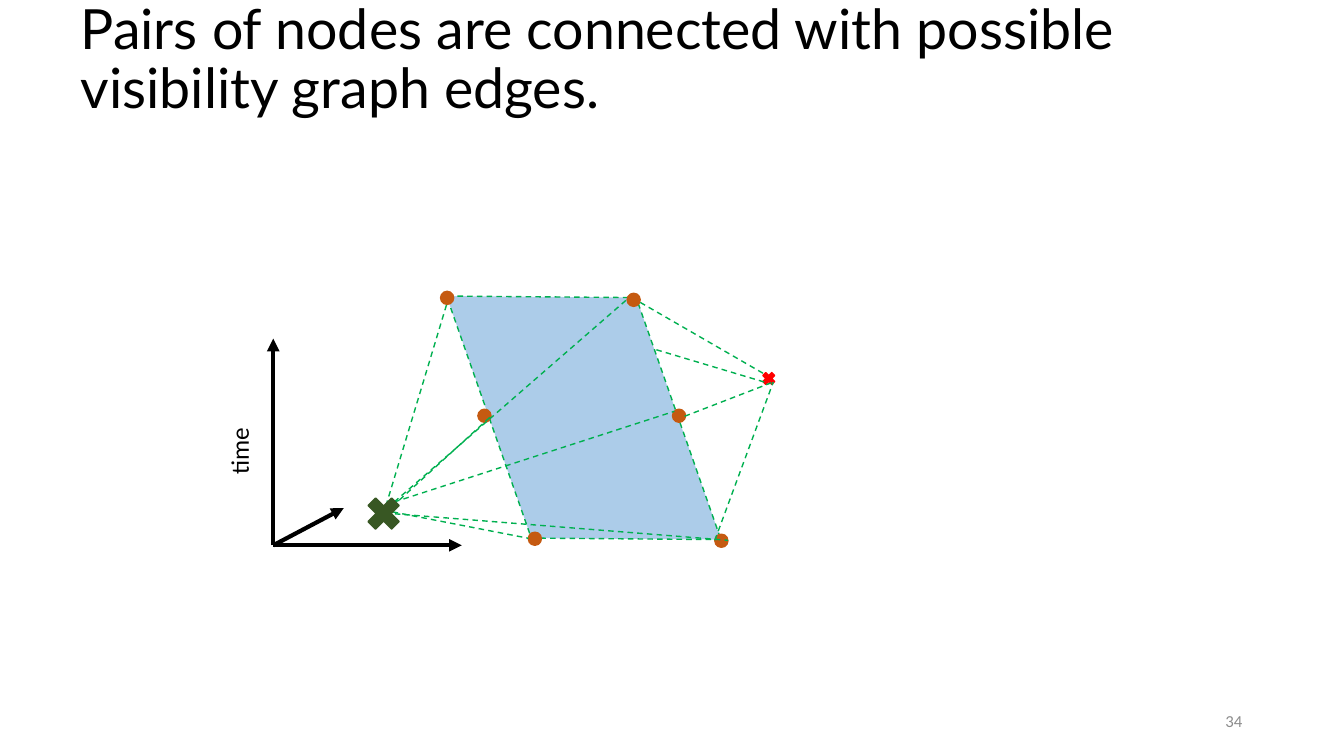
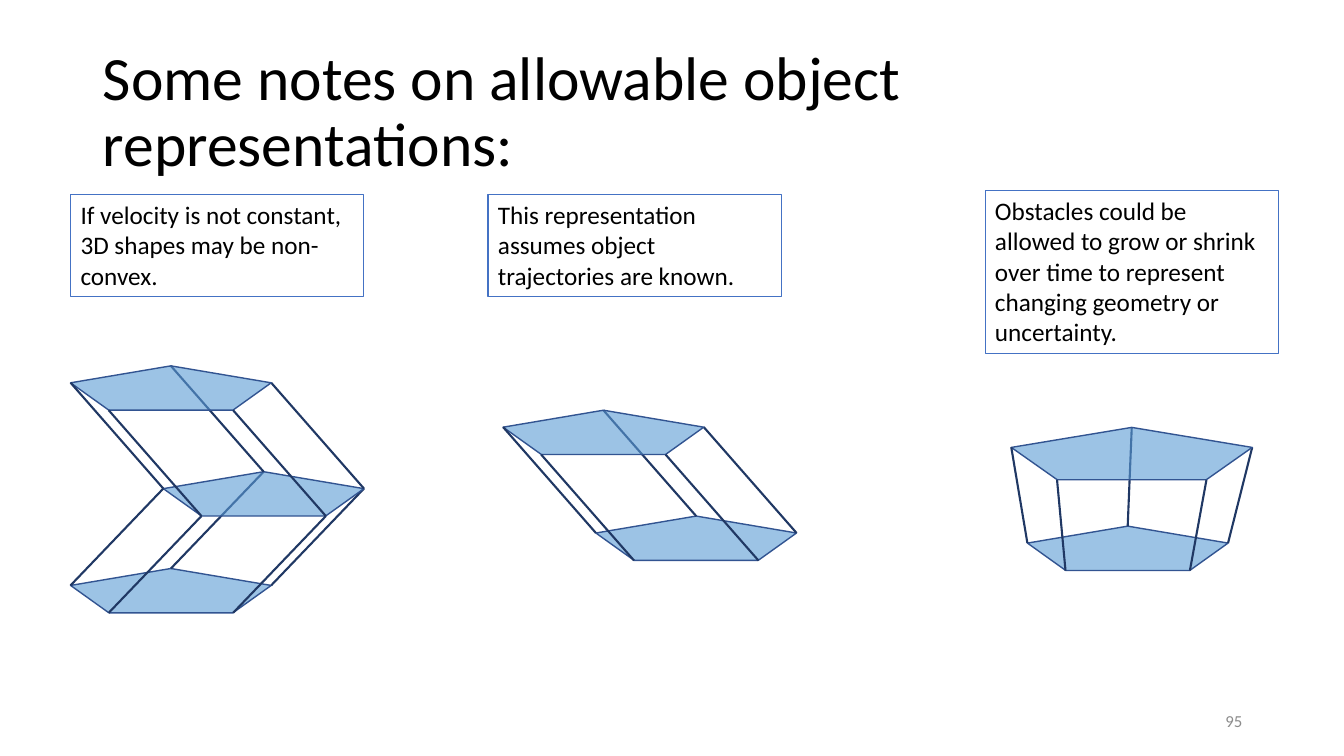
from dataclasses import dataclass
from typing import Any, NamedTuple

from pptx import Presentation
from pptx.dml.color import RGBColor
from pptx.enum.dml import MSO_LINE
from pptx.enum.shapes import MSO_CONNECTOR, MSO_SHAPE
from pptx.enum.text import MSO_ANCHOR, MSO_AUTO_SIZE, PP_ALIGN
from pptx.oxml.ns import qn
from pptx.oxml.xmlchemy import OxmlElement
from pptx.slide import Slide
from pptx.util import Inches, Pt

DASH = MSO_LINE.DASH
STRAIGHT = MSO_CONNECTOR.STRAIGHT
OVAL = MSO_SHAPE.OVAL
CROSS = MSO_SHAPE.MATH_MULTIPLY
SLANT = MSO_SHAPE.FLOWCHART_DATA
PENTAGON = MSO_SHAPE.REGULAR_PENTAGON
TOP, MIDDLE = MSO_ANCHOR.TOP, MSO_ANCHOR.MIDDLE
LEFT, RIGHT = PP_ALIGN.LEFT, PP_ALIGN.RIGHT
FIXED, GROW = MSO_AUTO_SIZE.NONE, MSO_AUTO_SIZE.SHAPE_TO_FIT_TEXT

BLACK, GRAY = "000000", "8C8C8C"
BLUE, NAVY, RIM, FRAME = "5B9BD5", "203864", "325491", "4472C4"
GREEN, PINE, RED, RUST = "00B050", "385723", "FF0000", "C55A11"


class Point(NamedTuple):
    x: float
    y: float


class Box(NamedTuple):
    left: float
    top: float
    width: float
    height: float


@dataclass(frozen=True)
class Ring:
    left: float
    top: float
    width: float = 1.99
    height: float = 0.44

    def points(self) -> list[Point]:
        parts = [(0.5, 0), (1, 0.38), (0.81, 1), (0.19, 1), (0, 0.38)]
        return [Point(self.left + x * self.width, self.top + y * self.height)
                for x, y in parts]


@dataclass(frozen=True)
class Note:
    box: Box
    text: str
    rings: list[Ring]


def paint(code: str) -> RGBColor:
    return RGBColor.from_string(code)


def scale(box: Box) -> list[int]:
    return [Inches(side) for side in box]


def write(shape: Any, text: str, *, size: float = 18, font: str = "Calibri",
          tint: str = BLACK, align: Any = LEFT, anchor: Any = TOP,
          fit: Any = GROW, space: float = 1.0) -> None:
    frame = shape.text_frame
    frame.word_wrap = True
    frame.auto_size = fit
    frame.vertical_anchor = anchor
    para = frame.paragraphs[0]
    para.alignment = align
    para.line_spacing = space
    run = para.add_run()
    run.text = text
    run.font.size = Pt(size)
    run.font.name = font
    run.font.color.rgb = paint(tint)


def start(deck: Any, title: str, box: Box, number: str, **style: Any) -> Slide:
    slide = deck.slides.add_slide(deck.slide_layouts[5])
    head = slide.shapes.title
    head.left, head.top, head.width, head.height = scale(box)
    write(head, title, anchor=MIDDLE, fit=FIXED, space=0.9, **style)
    foot = slide.shapes.add_textbox(*scale(Box(9.42, 6.95, 3, 0.4)))
    write(foot, number, size=12, tint=GRAY, align=RIGHT, anchor=MIDDLE, fit=FIXED)
    return slide


def draw(slide: Slide, kind: Any, box: Box, fill: str, line: str,
         alpha: int = 100, turn: float = 0, dash: Any = None) -> None:
    shape = slide.shapes.add_shape(kind, *scale(box))
    shape.shadow.inherit = False
    shape.rotation = turn
    shape.fill.solid()
    shape.fill.fore_color.rgb = paint(fill)
    if alpha < 100:
        node = OxmlElement("a:alpha")
        node.set("val", str(alpha * 1000))
        shape._element.spPr.find(qn("a:solidFill"))[0].append(node)
    shape.line.color.rgb = paint(line)
    shape.line.width = Pt(1)
    shape.line.dash_style = dash


def join(slide: Slide, head: Point, tail: Point, tint: str, width: float,
         dash: Any = None, arrow: bool = False) -> None:
    link = slide.shapes.add_connector(STRAIGHT, *map(Inches, (*head, *tail)))
    link.line.color.rgb = paint(tint)
    link.line.width = Pt(width)
    link.line.dash_style = dash
    props = link._element.spPr
    if arrow:
        tip = OxmlElement("a:tailEnd")
        tip.set("type", "triangle")
        props.find(qn("a:ln")).append(tip)
    props.append(OxmlElement("a:effectLst"))


def stack(slide: Slide, rings: list[Ring]) -> None:
    def plate(ring: Ring) -> None:
        box = Box(ring.left, ring.top, ring.width, ring.height)
        draw(slide, PENTAGON, box, BLUE, RIM, alpha=60)

    plate(rings[0])
    for low, high in zip(rings, rings[1:]):
        sides = list(zip(low.points(), high.points()))
        for base, peak in sides[:2]:
            join(slide, base, peak, NAVY, 1.5)
        plate(high)
        for base, peak in sides[2:]:
            join(slide, base, peak, NAVY, 1.5)


AXES = [Point(3.41, 5.04), Point(4.58, 5.41), Point(2.71, 3.36)]
DOTS = [Point(6.22, 2.91), Point(4.37, 2.89), Point(7.09, 5.3),
        Point(5.24, 5.28), Point(6.67, 4.06), Point(4.74, 4.06)]
EDGES = [
    (Point(3.8, 5.11), Point(4.43, 3.02)),
    (Point(3.82, 5.09), Point(4.87, 4.13)),
    (Point(3.8, 5.06), Point(5.24, 5.34)),
    (Point(3.91, 4.98), Point(6.22, 2.97)),
    (Point(3.91, 4.98), Point(6.69, 4.08)),
    (Point(3.82, 5.09), Point(7.22, 5.36)),
    (Point(6.35, 3), Point(7.58, 3.71)),
    (Point(6.79, 4.13), Point(7.67, 3.79)),
    (Point(7.09, 5.36), Point(7.67, 3.79)),
    (Point(6.51, 3.47), Point(7.58, 3.79)),
]
NOTES = [
    Note(Box(0.7, 1.93, 2.91, 1.01),
         "If velocity is not constant, 3D shapes may be non-convex.",
         [Ring(0.7, 5.64), Ring(1.62, 4.68), Ring(0.7, 3.63)]),
    Note(Box(4.84, 1.93, 2.91, 1.01),
         "This representation assumes object trajectories are known.",
         [Ring(5.91, 5.12), Ring(4.99, 4.07)]),
    Note(Box(9.77, 1.89, 2.91, 1.62),
         "Obstacles could be allowed to grow or shrink over time to "
         "represent changing geometry or uncertainty.",
         [Ring(10.19, 5.22), Ring(10.03, 4.24, 2.39, 0.52)]),
]


def graph(deck: Any) -> None:
    slide = start(
        deck, "Pairs of nodes are connected with possible visibility graph edges.",
        Box(0.7, 0.09, 12.44, 1.03), "34", size=39.6, font="Lato")
    draw(slide, SLANT, Box(4.2, 3.26, 3.18, 1.77), BLUE, GREEN,
         alpha=50, turn=250.7, dash=DASH)
    for tip in AXES:
        join(slide, Point(2.71, 5.41), tip, BLACK, 3, arrow=True)
    label = slide.shapes.add_textbox(*scale(Box(1.66, 3.9, 1.42, 0.4)))
    label.rotation = 270
    write(label, "time")
    draw(slide, CROSS, Box(7.54, 3.67, 0.17, 0.17), RED, RED)
    for dot in DOTS:
        draw(slide, OVAL, Box(*dot, 0.13, 0.13), RUST, RUST)
    for head, tail in EDGES:
        join(slide, head, tail, GREEN, 1, dash=DASH)
    draw(slide, CROSS, Box(3.58, 4.87, 0.45, 0.45), PINE, PINE)


def solids(deck: Any) -> None:
    slide = start(deck, "Some notes on allowable object representations:",
                  Box(0.92, 0.4, 11.5, 1.45), "95", size=44)
    for note in NOTES:
        card = slide.shapes.add_textbox(*scale(note.box))
        card.line.color.rgb = paint(FRAME)
        card.line.width = Pt(0.75)
        write(card, note.text)
        stack(slide, note.rings)


def main() -> None:
    deck = Presentation()
    deck.slide_width, deck.slide_height = Inches(13.33), Inches(7.5)
    graph(deck)
    solids(deck)
    deck.save("out.pptx")


if __name__ == "__main__":
    main()
